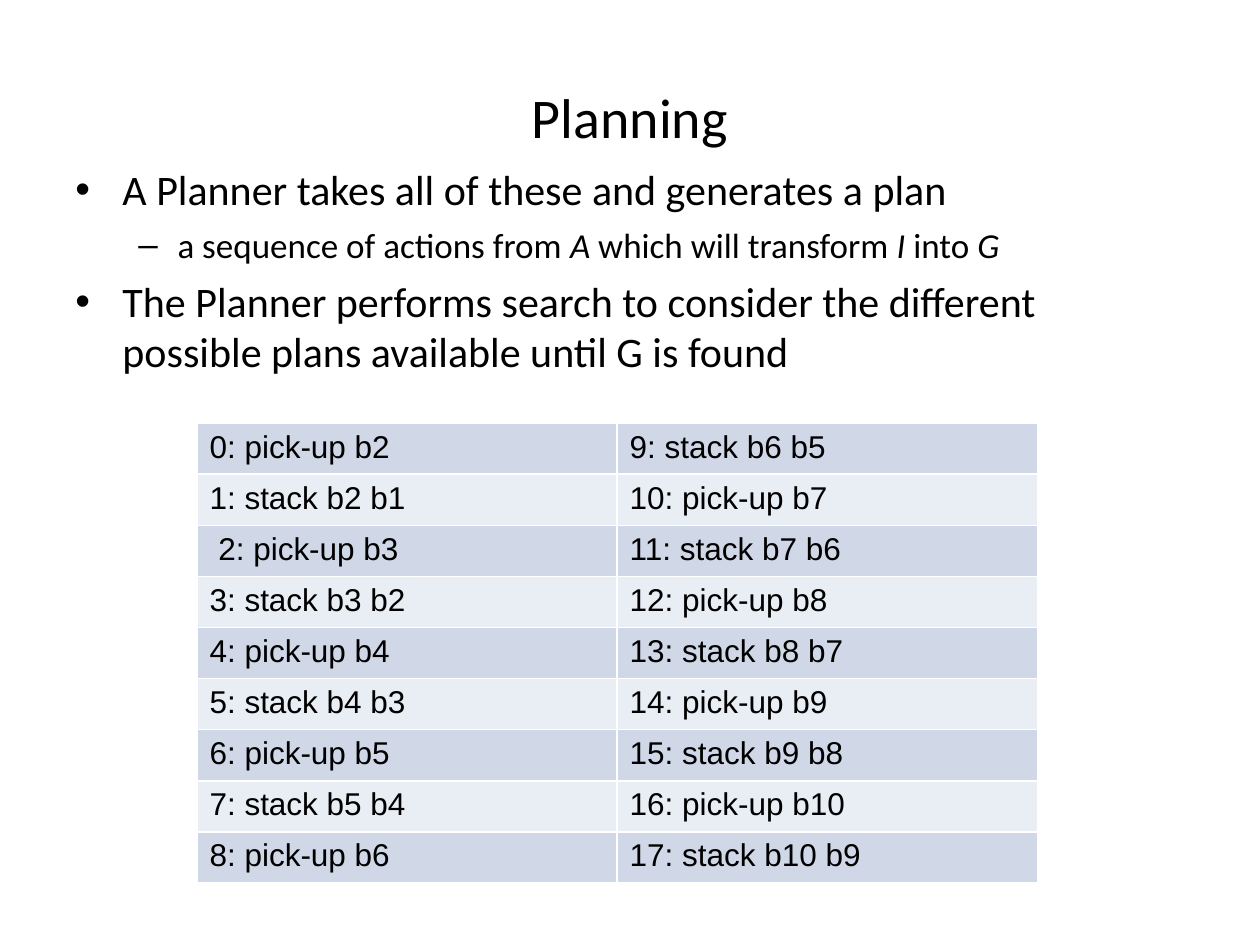
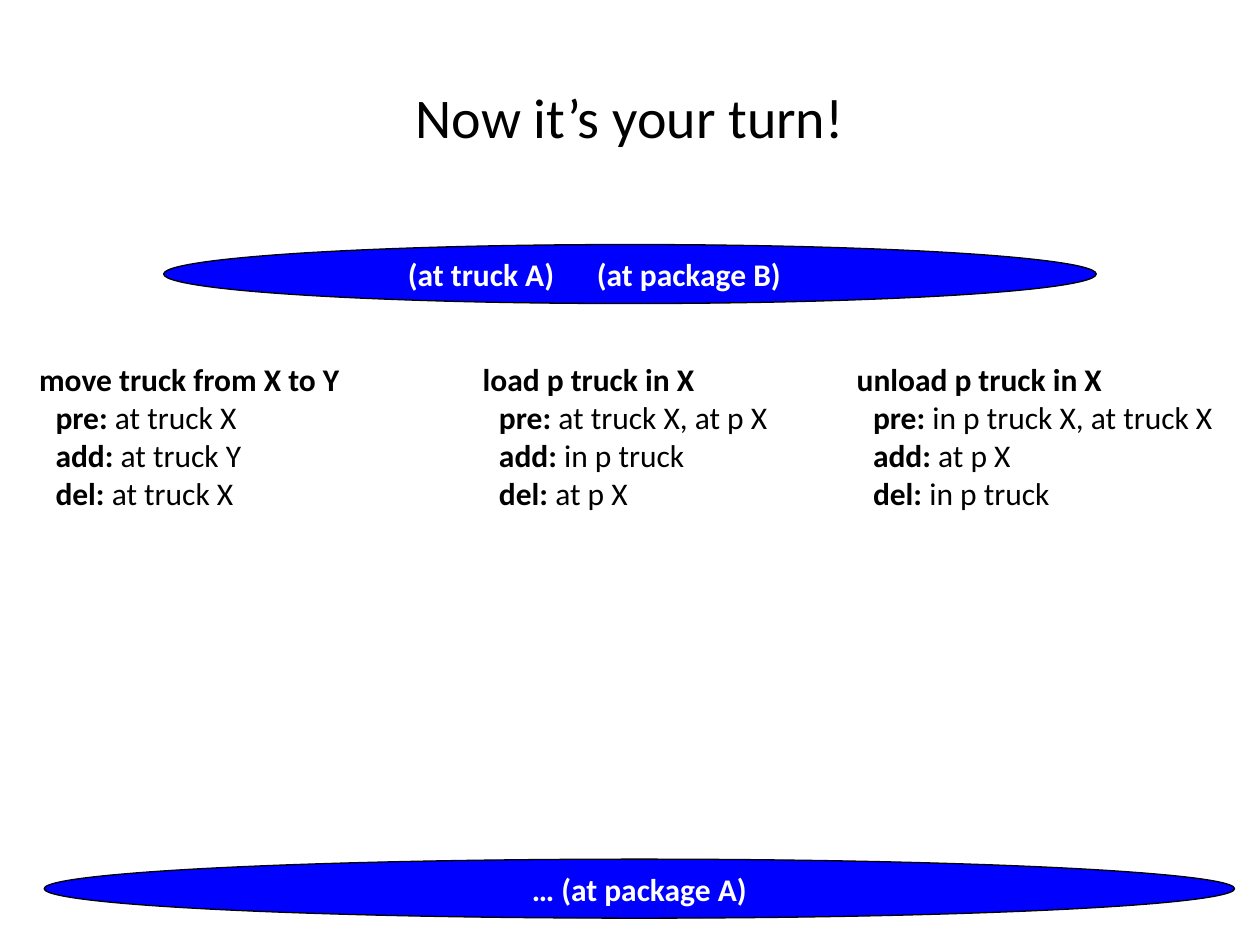
from pptx import Presentation
from pptx.dml.color import RGBColor
from pptx.enum.shapes import MSO_SHAPE
from pptx.enum.text import MSO_ANCHOR, PP_ALIGN
from pptx.oxml.ns import qn
from pptx.util import Cm, Pt
from lxml.etree import SubElement

BLACK = RGBColor(0x00, 0x00, 0x00)
WHITE = RGBColor(0xFF, 0xFF, 0xFF)
BLUE = RGBColor(0x00, 0x00, 0xFF)
BANDS = RGBColor(0xD0, 0xD8, 0xE8), RGBColor(0xE9, 0xED, 0xF4)


def write(frame, text, size=18, font="Calibri", color=BLACK, align=PP_ALIGN.LEFT,
          bold=False, mark=None, before=0, level=0, left=0, hang=0, bullet=None, tab=None):
    para = frame.paragraphs[0]
    if para.runs:
        para = frame.add_paragraph()
    para.alignment, para.level = align, level
    para.space_before = Pt(before)
    for part, words in enumerate(text.split("_")):
        if not words:
            continue
        run = para.add_run()
        run.text = words
        run.font.size, run.font.name = Pt(size), font
        run.font.color.rgb, run.font.bold = color, bold
        if mark:
            setattr(run.font, mark, part % 2 == 1)
    props = para._p.get_or_add_pPr()
    props.set("marL", str(Cm(left)))
    props.set("indent", str(-Cm(hang)))
    if bullet:
        SubElement(props, qn("a:buFont"), typeface="Arial")
        SubElement(props, qn("a:buChar"), char=bullet)
    else:
        SubElement(props, qn("a:buNone"))
    if tab:
        stops = SubElement(props, qn("a:tabLst"))
        SubElement(stops, qn("a:tab"), pos=str(Cm(tab)), algn="l")


def add_box(slide, x, y, w, h):
    frame = slide.shapes.add_textbox(Cm(x), Cm(y), Cm(w), Cm(h)).text_frame
    frame.word_wrap = True
    return frame


def add_page(deck, title):
    slide = deck.slides.add_slide(deck.slide_layouts[6])
    frame = add_box(slide, 1.27, 0.76, 22.86, 3.18)
    frame.vertical_anchor = MSO_ANCHOR.MIDDLE
    write(frame, title, size=32, align=PP_ALIGN.CENTER)
    return slide


def add_points(slide, x, y, w, h, points):
    frame = add_box(slide, x, y, w, h)
    styles = (dict(size=24, before=6, left=0.95, hang=0.95, bullet="•"),
              dict(size=20, before=5, left=2.06, hang=0.79, bullet="–"))
    for level, text in points:
        write(frame, text, level=level, mark="italic", **styles[level])


def add_rim(cell):
    props = cell._tc.get_or_add_tcPr()
    for side in ("lnL", "lnR", "lnT", "lnB"):
        line = SubElement(props, qn(f"a:{side}"), w=str(Pt(1)))
        SubElement(SubElement(line, qn("a:solidFill")), qn("a:srgbClr"), val=str(WHITE))


def add_steps(slide, x, y, w, h, steps):
    rows = len(steps) // 2
    table = slide.shapes.add_table(rows, 2, Cm(x), Cm(y), Cm(w), Cm(h)).table
    table.first_row = table.horz_banding = False
    for row in table.rows:
        row.height = Cm(h / rows)
    for place, step in enumerate(steps):
        col, row = divmod(place, rows)
        cell = table.cell(row, col)
        add_rim(cell)
        cell.fill.solid()
        cell.fill.fore_color.rgb = BANDS[row % 2]
        write(cell.text_frame, step, font="Arial")


def add_state(slide, x, y, w, h, text, align=PP_ALIGN.CENTER, inset=0.25, tab=None):
    shape = slide.shapes.add_shape(MSO_SHAPE.OVAL, Cm(x), Cm(y), Cm(w), Cm(h))
    shape.shadow.inherit = False
    shape.fill.solid()
    shape.fill.fore_color.rgb = BLUE
    shape.line.color.rgb, shape.line.width = BLACK, Pt(0.75)
    frame = shape.text_frame
    frame.word_wrap = True
    frame.vertical_anchor = MSO_ANCHOR.MIDDLE
    frame.margin_left = Cm(inset)
    write(frame, text, color=WHITE, bold=True, align=align, tab=tab)


def add_action(slide, x, y, w, h, name, *facts):
    frame = add_box(slide, x, y, w, h)
    write(frame, name, bold=True, left=1.73)
    for key, fact in zip(("pre", "add", "del"), facts):
        write(frame, f"_{key}:_ {fact}", mark="bold", left=2.06)


def build_plan(deck):
    slide = add_page(deck, "Planning")
    add_points(slide, 1.27, 3.18, 22.86, 12.57, (
        (0, "A Planner takes all of these and generates a plan"),
        (1, "a sequence of actions from _A_ which will transform _I_ into _G_"),
        (0, "The Planner performs search to consider the different "
            "possible plans available until G is found")))
    steps = []
    for block in range(2, 11):
        steps += [f"pick-up b{block}", f"stack b{block} b{block - 1}"]
    steps = [f"{place}: {step}" for place, step in enumerate(steps)]
    steps[2] = " " + steps[2]
    add_steps(slide, 3.97, 8.53, 16.94, 9.27, steps)


def build_turn(deck):
    slide = add_page(deck, "Now it’s your turn!")
    add_state(slide, 3.3, 4.93, 18.8, 1.19, "(at truck A)\t(at package B)",
              align=PP_ALIGN.LEFT, inset=2.17, tab=5.23)
    add_state(slide, 0.89, 17.32, 24, 1.19, "… (at package A)")
    actions = (
        (-1.19, "move truck from X to Y", "at truck X", "at truck Y", "at truck X"),
        (7.75, "load p truck in X", "at truck X, at p X", "in p truck", "at p X"),
        (15.29, "unload p truck in X", "in p truck X, at truck X", "at p X", "in p truck"))
    for x, *words in actions:
        add_action(slide, x, 7.14, 12.7, 3.33, *words)


deck = Presentation()
deck.slide_width, deck.slide_height = Cm(25.4), Cm(19.05)
build_plan(deck)
build_turn(deck)
deck.save("out.pptx")
